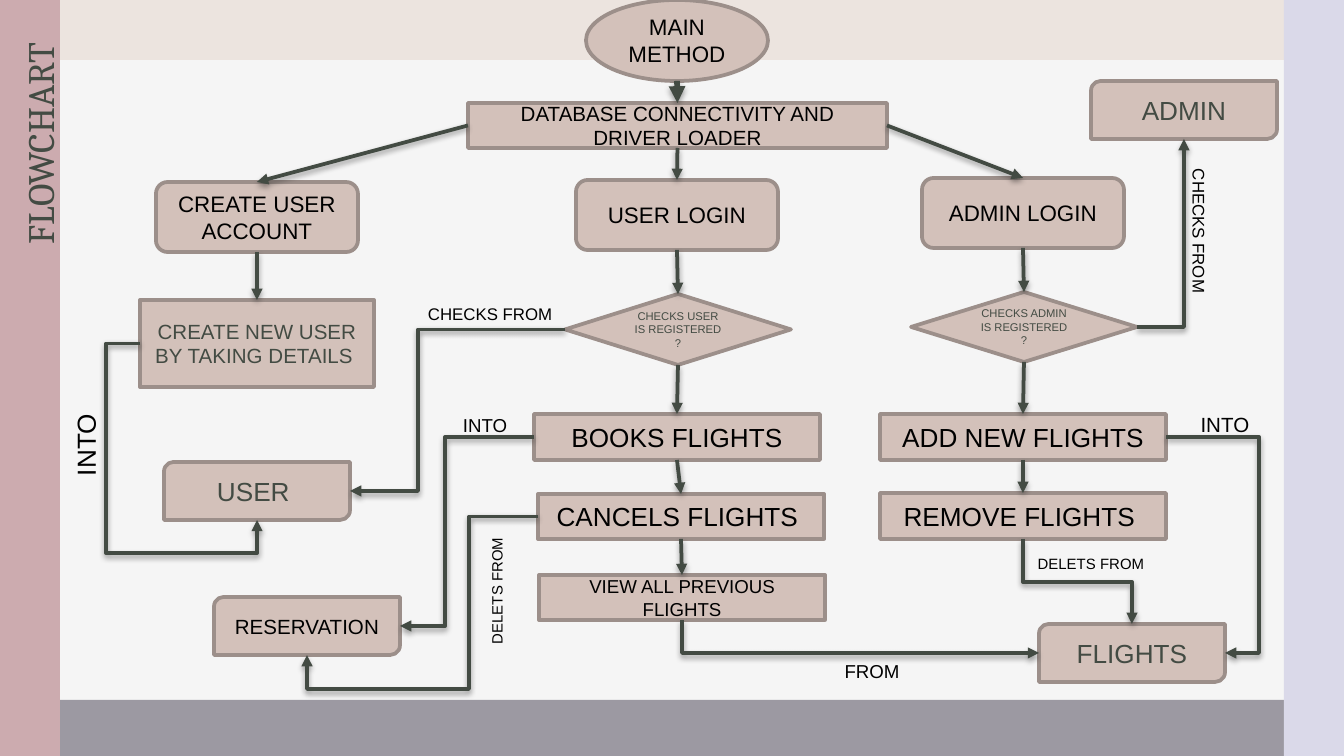
from lxml.etree import SubElement
from pptx import Presentation
from pptx.dml.color import RGBColor
from pptx.enum.shapes import MSO_CONNECTOR, MSO_SHAPE
from pptx.enum.text import MSO_ANCHOR, MSO_AUTO_SIZE, PP_ALIGN
from pptx.oxml.ns import qn
from pptx.util import Pt

SCALE = 914400 / 134.4
COLORS = {
    "page": "F5F5F5", "top": "ECE4DF", "bottom": "9C99A2", "left": "CCABAF",
    "right": "DAD9E9", "node": "D3C1BA", "edge": "9C8F8A",
    "dark": "434B43", "black": "000000",
}
NODE_FRAME = {"word_wrap": True, "vertical_anchor": MSO_ANCHOR.MIDDLE}
LABEL_FRAME = {"word_wrap": True, "vertical_anchor": MSO_ANCHOR.TOP,
               "auto_size": MSO_AUTO_SIZE.SHAPE_TO_FIT_TEXT}
RECT, ROUND = MSO_SHAPE.RECTANGLE, MSO_SHAPE.ROUNDED_RECTANGLE
STORE, DECISION = MSO_SHAPE.ROUND_2_DIAG_RECTANGLE, MSO_SHAPE.FLOWCHART_DECISION
OVAL = MSO_SHAPE.OVAL
SITES = {OVAL: "txlxbxr", STORE: "rblt"}

BANDS = [
    ("top", (0, 0, 1344, 60)), ("bottom", (0, 700, 1344, 56)),
    ("left", (0, 0, 60, 756)), ("right", (1284, 0, 60, 756)),
]
NODES = {
    "main": (OVAL, (526, 0, 182, 81), "MAIN METHOD", 12, "black"),
    "database": (RECT, (408, 103, 419, 45), "DATABASE CONNECTIVITY AND DRIVER LOADER", 11, "black"),
    "account": (ROUND, (96, 182, 202, 70), "CREATE USER ACCOUNT", 12, "black"),
    "user login": (ROUND, (516, 180, 202, 70), "USER LOGIN", 12, "black"),
    "admin login": (ROUND, (862, 178, 202, 70), "ADMIN LOGIN", 12, "black"),
    "details": (RECT, (80, 300, 234, 87), "CREATE NEW USER BY TAKING DETAILS ", 11, "dark"),
    "user": (STORE, (104, 462, 186, 58), "USER ", 14, "dark"),
    "check user": (DECISION, (505, 294, 226, 71), "CHECKS USER IS REGISTERED ?", 6, "dark"),
    "books": (RECT, (474, 414, 286, 46), "BOOKS FLIGHTS", 14, "black"),
    "cancels": (RECT, (478, 494, 286, 45), "CANCELS FLIGHTS ", 14, "black"),
    "view": (RECT, (479, 575, 286, 45), "VIEW ALL PREVIOUS FLIGHTS", 10, "black"),
    "add": (RECT, (820, 414, 286, 46), "ADD NEW FLIGHTS", 14, "black"),
    "remove": (RECT, (820, 493, 286, 46), "REMOVE FLIGHTS ", 14, "black"),
    "check admin": (DECISION, (851, 292, 226, 70), "CHECKS ADMIN IS REGISTERED ?", 6, "dark"),
    "admin": (STORE, (1031, 81, 186, 58), "ADMIN", 14, "dark"),
    "reservation": (STORE, (154, 597, 186, 58), "RESERVATION", 11, "black"),
    "flights": (STORE, (979, 624, 186, 58), "FLIGHTS", 14, "dark"),
}
LABELS = [
    ("INTO", (-83, 422, 218, 46), 14, 270),
    ("CHECKS FROM", (326, 297, 208, 34), 9, 0),
    ("CHECKS FROM", (1035, 214, 208, 34), 9, 90),
    ("INTO", (316, 407, 218, 36), 10, 0),
    ("DELETS FROM", (328, 575, 218, 32), 8, 270),
    ("FROM", (703, 653, 218, 36), 10, 0),
    ("INTO", (1068, 405, 194, 39), 11, 0),
    ("DELETS FROM", (922, 548, 218, 32), 8, 0),
]
STEPS = [
    ("database", "l", "account", "t"), ("database", "b", "user login", "t"),
    ("database", "r", "admin login", "t"), ("account", "b", "details", "t"),
    ("user login", "b", "check user", "t"), ("check user", "b", "books", "t"),
    ("admin login", "b", "check admin", "t"), ("check admin", "b", "add", "t"),
    ("books", "b", "cancels", "t"), ("cancels", "b", "view", "t"),
    ("add", "b", "remove", "t"),
]
ACCESSES = [
    ("details", "l", "user", "b", (46, 553)),
    ("check user", "l", "user", "r", (358,)),
    ("check admin", "r", "admin", "b", ()),
    ("books", "l", "reservation", "r", (385,)),
    ("cancels", "l", "reservation", "b", (409, 689)),
    ("view", "b", "flights", "l", ()),
    ("remove", "b", "flights", "t", (582,)),
    ("add", "r", "flights", "r", (1199,)),
]


def emu(*pixels):
    return [round(p * SCALE) for p in pixels]


def inside(area, box):
    return area[0] + box[0], area[1] + box[1], box[2], box[3]


def apply(target, values):
    for key, value in values.items():
        setattr(target, key, value)


def rgb(color):
    return RGBColor.from_string(COLORS[color])


def write(frame, text, size, color, layout, font="Arial"):
    apply(frame, layout)
    paragraph = frame.paragraphs[0]
    paragraph.alignment = PP_ALIGN.CENTER
    run = paragraph.add_run()
    run.text = text
    apply(run.font, {"name": font, "size": Pt(size), "bold": False})
    run.font.color.rgb = rgb(color)


def add_filled(slide, kind, box, color):
    shape = slide.shapes.add_shape(kind, *emu(*box))
    shape.shadow.inherit = False
    shape.fill.solid()
    shape.fill.fore_color.rgb = rgb(color)
    shape.line.fill.background()
    return shape


def add_bands(slide, area):
    for color, box in BANDS:
        add_filled(slide, RECT, inside(area, box), color)


def add_heading(slide, area):
    heading = slide.shapes.title
    left, top, width, height = emu(*area)
    apply(heading, {"left": left, "top": top, "width": width,
                    "height": height, "rotation": 270})
    write(heading.text_frame, "FLOWCHART", 20, "dark", LABEL_FRAME, "Cambria")


def add_node(slide, area, kind, box, text, size, color):
    node = add_filled(slide, kind, inside(area, box), "node")
    node.line.color.rgb = rgb("edge")
    node.line.width = Pt(2)
    write(node.text_frame, text, size, color, NODE_FRAME)
    return node


def add_label(slide, area, text, box, size, rotation):
    label = slide.shapes.add_textbox(*emu(*inside(area, box)))
    label.rotation = rotation
    write(label.text_frame, text, size, "black", LABEL_FRAME)


def anchor(area, name, side):
    left, top, width, height = inside(area, NODES[name][1])
    dx, dy = {"t": (0.5, 0), "l": (0, 0.5), "b": (0.5, 1), "r": (1, 0.5)}[side]
    return left + width * dx, top + height * dy


def site(name, side):
    return str(SITES.get(NODES[name][0], "tlbr").index(side))


def add_flow(slide, area, nodes, source, out, target, into, lanes=None, weight=2):
    start, end = anchor(area, source, out), anchor(area, target, into)
    delta = [b - a for a, b in zip(start, end)]
    kind = MSO_CONNECTOR.STRAIGHT if lanes is None else MSO_CONNECTOR.ELBOW
    flow = slide.shapes.add_connector(kind, *emu(*start, *end))
    flow.begin_connect(nodes[source], 0)
    flow.end_connect(nodes[target], 0)
    for tag, idx in (("stCxn", site(source, out)), ("endCxn", site(target, into))):
        flow._element.xpath(f".//a:{tag}")[0].set("idx", idx)

    turn = 0 if lanes is None else {"l": 180, "r": 0, "b": 270}[out]
    flips = [d < 0 for d in delta]
    size = [abs(d) for d in delta]
    if turn == 180:
        flips = [d > 0 for d in delta]
    elif turn == 270:
        flips = [delta[1] > 0, delta[0] < 0]
        size.reverse()
    corner = [(a + b - s) / 2 for a, b, s in zip(start, end, size)]
    left, top, width, height = emu(*corner, *size)
    apply(flow, {"left": left, "top": top, "width": width, "height": height})
    properties = flow._element.spPr
    frame = properties.find(qn("a:xfrm"))
    for key, value in (("rot", turn * 60000), ("flipH", int(flips[0])), ("flipV", int(flips[1]))):
        frame.set(key, str(value))

    if lanes is not None:
        geometry = properties.find(qn("a:prstGeom"))
        geometry.set("prst", f"bentConnector{len(lanes) + 2}")
        guides = geometry.find(qn("a:avLst"))
        first = 1 if out == "b" else 0
        for i, lane in enumerate(lanes):
            axis = (first + i) % 2
            ratio = (area[axis] + lane - start[axis]) / delta[axis]
            SubElement(guides, qn("a:gd"), name=f"adj{i + 1}", fmla=f"val {round(ratio * 100000)}")

    flow.line.color.rgb = rgb("dark")
    flow.line.width = Pt(weight)
    SubElement(properties.find(qn("a:ln")), qn("a:tailEnd"), type="triangle")
    effects = SubElement(properties, qn("a:effectLst"))
    shadow = SubElement(effects, qn("a:outerShdw"), blurRad="40000", dist="20000",
                        dir="5400000", rotWithShape="0")
    tint = SubElement(shadow, qn("a:srgbClr"), val=COLORS["black"])
    SubElement(tint, qn("a:alpha"), val="38000")


def add_flowchart(slide, area):
    nodes = {name: add_node(slide, area, *node) for name, node in NODES.items()}
    for label in LABELS:
        add_label(slide, area, *label)
    for flow in ACCESSES + STEPS:
        add_flow(slide, area, nodes, *flow)
    add_flow(slide, area, nodes, "main", "b", "database", "t", weight=3)


deck = Presentation()
deck.slide_width, deck.slide_height = emu(1344, 756)
slide = deck.slides.add_slide(deck.slide_layouts[5])
slide.background.fill.solid()
slide.background.fill.fore_color.rgb = rgb("page")
add_bands(slide, (0, 0, 1344, 756))
add_heading(slide, (-109, 114, 297, 59))
slide.shapes._spTree.append(slide.shapes.title._element)
add_flowchart(slide, (60, 0, 1224, 700))
deck.save("out.pptx")
